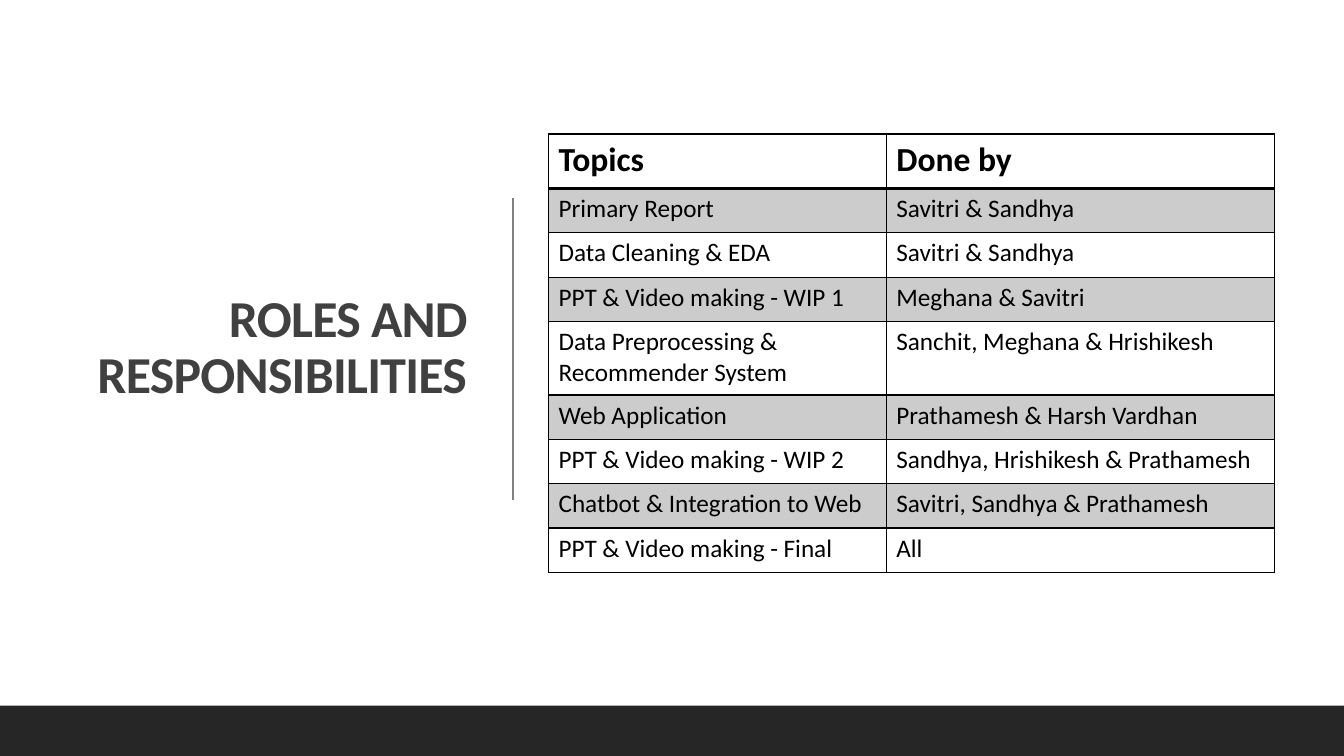
from lxml.etree import SubElement
from pptx import Presentation
from pptx.dml.color import RGBColor
from pptx.enum.shapes import MSO_CONNECTOR as Connector, MSO_SHAPE as Shape
from pptx.enum.text import MSO_ANCHOR as Anchor, PP_ALIGN as Align
from pptx.oxml.ns import qn
from pptx.util import Inches, Pt

FONT = "Calibri"
BLACK, WHITE, BAND = "000000", "FFFFFF", "CCCCCC"

COLUMN_WIDTHS = [3.35, 3.85]
HEADER_HEIGHT, ROW_HEIGHT, TALL_ROW_HEIGHT = 0.54, 0.44, 0.73
ROLES = [
    ("Topics", "Done by"),
    ("Primary Report", "Savitri & Sandhya"),
    ("Data Cleaning & EDA", "Savitri & Sandhya"),
    ("PPT & Video making - WIP 1", "Meghana & Savitri"),
    ("Data Preprocessing & Recommender System", "Sanchit, Meghana & Hrishikesh"),
    ("Web Application", "Prathamesh & Harsh Vardhan"),
    ("PPT & Video making - WIP 2", "Sandhya, Hrishikesh & Prathamesh"),
    ("Chatbot & Integration to Web", "Savitri, Sandhya & Prathamesh"),
    ("PPT & Video making - Final", "All"),
]
TALL_ROW = 4


def color(hex_value):
    return RGBColor.from_string(hex_value)


def write(frame, text, size, fill=BLACK, bold=False, align=Align.LEFT,
          line_spacing=None, tracking=None):
    frame.word_wrap = True
    paragraph = frame.paragraphs[0]
    paragraph.alignment = align
    paragraph.line_spacing = line_spacing
    run = paragraph.add_run()
    run.text = text
    run.font.name = FONT
    run.font.size = Pt(size)
    run.font.bold = bold
    run.font.color.rgb = color(fill)
    if tracking is not None:
        run.font._element.set("spc", str(round(tracking * 100)))


def add_title(slide, text):
    title = slide.shapes.add_textbox(Inches(0.7), Inches(0.69), Inches(4.03), Inches(5.53))
    title.text_frame.vertical_anchor = Anchor.MIDDLE
    write(title.text_frame, text, 37, fill="404040", bold=True, align=Align.RIGHT,
          line_spacing=0.9, tracking=-0.5)


def add_divider(slide, x, top, bottom):
    divider = slide.shapes.add_connector(
        Connector.STRAIGHT, Inches(x), Inches(top), Inches(x), Inches(bottom))
    divider.line.color.rgb = color("808080")
    divider.line.width = Pt(1)
    SubElement(divider._element.spPr, qn("a:effectLst"))


def add_footer_bar(slide, slide_width):
    bar = slide.shapes.add_shape(Shape.RECTANGLE, 0, Inches(7), slide_width, Inches(0.5))
    bar.shadow.inherit = False
    bar.fill.solid()
    bar.fill.fore_color.rgb = color("262626")
    bar.line.fill.background()


def set_borders(cell, **widths):
    properties = cell._tc.get_or_add_tcPr()
    for side in "LRTB":
        border = SubElement(properties, qn(f"a:ln{side}"), w=str(Pt(widths.get(side, 1))))
        SubElement(SubElement(border, qn("a:solidFill")), qn("a:srgbClr"), val=BLACK)


def add_roles_table(slide):
    heights = [HEADER_HEIGHT] + [ROW_HEIGHT] * (len(ROLES) - 1)
    heights[TALL_ROW] = TALL_ROW_HEIGHT
    table = slide.shapes.add_table(
        len(ROLES), len(COLUMN_WIDTHS), Inches(5.44), Inches(1.33),
        Inches(sum(COLUMN_WIDTHS)), Inches(sum(heights))).table
    table.first_row = table.horz_banding = False
    for column, width in zip(table.columns, COLUMN_WIDTHS):
        column.width = Inches(width)

    for r, (row, height, entries) in enumerate(zip(table.rows, heights, ROLES)):
        row.height = Inches(height)
        is_header = r == 0
        for cell, entry in zip(row.cells, entries):
            write(cell.text_frame, entry, 24 if is_header else 18, bold=is_header)
            # The rule under the header is thicker than the grid
            set_borders(cell, B=2 if is_header else 1, T=2 if r == 1 else 1)
            cell.fill.solid()
            cell.fill.fore_color.rgb = color(BAND if r % 2 else WHITE)


def main():
    deck = Presentation()
    deck.slide_width, deck.slide_height = Inches(13.33), Inches(7.5)
    slide = deck.slides.add_slide(deck.slide_layouts[6])
    slide.background.fill.solid()
    slide.background.fill.fore_color.rgb = color(WHITE)

    # Heading side
    add_title(slide, "ROLES AND RESPONSIBILITIES")
    add_divider(slide, 5.09, 1.96, 4.96)

    # Footer and table
    add_footer_bar(slide, deck.slide_width)
    add_roles_table(slide)

    deck.save("out.pptx")


if __name__ == "__main__":
    main()
